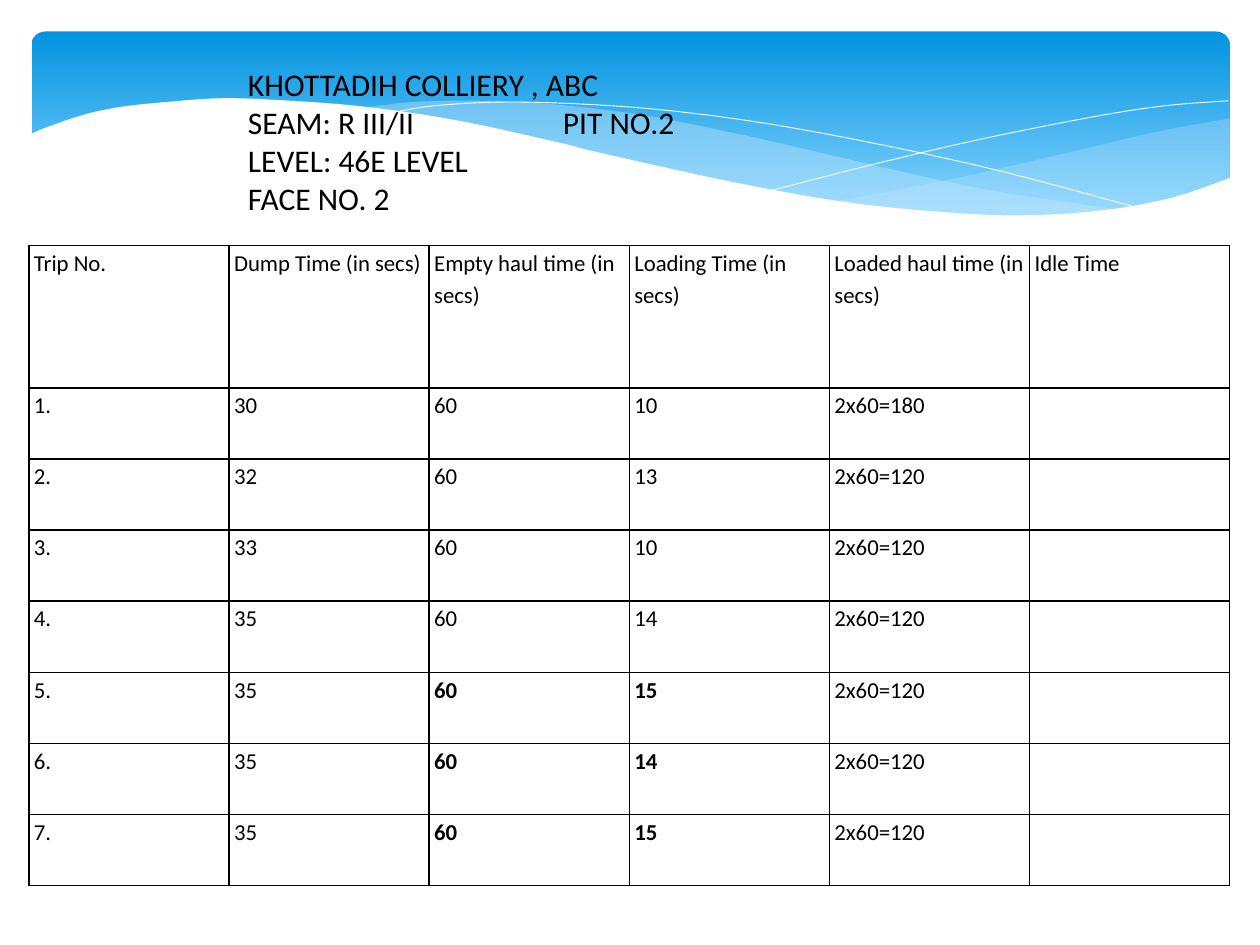
from lxml import etree
from pptx import Presentation
from pptx.dml.color import RGBColor
from pptx.enum.shapes import MSO_SHAPE as Shape
from pptx.oxml import parse_xml
from pptx.oxml.ns import nsdecls, qn
from pptx.util import Inches, Pt

BLACK = RGBColor(0, 0, 0)
WHITE = RGBColor(255, 255, 255)
DEEP = RGBColor(0x02, 0x93, 0xE0)
SKY = RGBColor(0x83, 0xD3, 0xFE)
HAZE = RGBColor(0xC6, 0xE7, 0xFC)
FONT = "Calibri"

# Wave edges, in inches from the banner's top left corner
RIGHT_TOP = [(9.51, .69), (8.96, .79), (8.36, .93), (7.54, 1.12), (6.81, 1.27),
             (6.36, 1.35)]
RIGHT_LOW = [(6.36, 1.35), (6.94, 1.42), (7.56, 1.47), (8.1, 1.47), (8.64, 1.41),
             (9.17, 1.29), (9.51, 1.16)]
MID_TOP = [(2.61, .61), (3.03, .56), (3.55, .55), (4.17, .58), (4.89, .67),
           (5.59, .81), (6.04, .91), (6.81, 1.09), (7.5, 1.24), (8.12, 1.34),
           (8.68, 1.42)]
MID_LOW = [(8.68, 1.42), (8.13, 1.47), (7.6, 1.47), (6.97, 1.43), (6.25, 1.33),
           (5.41, 1.18), (4.24, .91), (3.37, .72), (2.61, .61)]
FALL = [(2.84, .65), (3.19, .59), (3.76, .56), (4.44, .58), (5.08, .63),
        (5.83, .73), (6.7, .89), (7.7, 1.11), (8.82, 1.41)]
RISE = [(5.88, 1.26), (6.7, 1.05), (7.51, .86), (8.41, .68), (8.99, .59), (9.5, .55)]
FRONT = [(9.52, 1.16), (9.05, 1.32), (8.5, 1.42), (7.84, 1.46), (7.19, 1.43),
         (6.43, 1.35), (5.54, 1.19), (4.5, .96), (4.22, .89), (3.4, .71),
         (2.67, .6), (2.05, .55), (1.52, .53), (1.07, .56), (.7, .6),
         (.42, .66), (.15, .75), (-.02, .82)]
FLOOR = [(-.02, 1.99), (9.52, 1.99)]

TITLE = ["KHOTTADIH COLLIERY , ABC", "SEAM: R III/II\tPIT NO.2",
         "LEVEL: 46E LEVEL", "FACE NO. 2"]
HEADS = ["Trip No.", "Dump Time (in secs)", "Empty haul time (in secs)",
         "Loading Time (in secs)", "Loaded haul time (in secs)", "Idle Time"]
TRIPS = [(30, 10, "2x60=180"), (32, 13, "2x60=120"), (33, 10, "2x60=120"),
         (35, 14, "2x60=120"), (35, 15, "2x60=120"), (35, 14, "2x60=120"),
         (35, 15, "2x60=120")]
BOLD_FROM = 5


def smooth(knots, steps=5):
    """Return points on a Catmull-Rom curve through the knots."""
    ends = [knots[0], *knots, knots[-1]]
    curve = [knots[0]]
    for a, b, c, d in zip(ends, ends[1:], ends[2:], ends[3:]):
        for step in range(1, steps + 1):
            t = step / steps
            curve.append(tuple(
                q + t / 2 * (r - p + t * (2 * p - 5 * q + 4 * r - s
                                          + t * (3 * (q - r) + s - p)))
                for p, q, r, s in zip(a, b, c, d)))
    return curve


def add_wave(slide, left, top, points, fill=None, alpha=100):
    """Draw a filled wave, or a thin white line when there is no fill."""
    spots = [(Inches(left + x), Inches(top + y)) for x, y in points]
    pen = slide.shapes.build_freeform(*spots[0])
    pen.add_line_segments(spots[1:], close=fill is not None)
    wave = pen.convert_to_shape()
    wave.shadow.inherit = False
    if fill is None:
        wave.fill.background()
        wave.line.color.rgb = WHITE
        wave.line.width = Pt(0.5)
        return
    wave.fill.solid()
    wave.fill.fore_color.rgb = fill
    wave.line.fill.background()
    if alpha < 100:
        color = wave.fill._xPr.find(qn("a:solidFill"))[0]
        etree.SubElement(color, qn("a:alpha"), val=str(alpha * 1000))


def add_banner(slide, left, top, width, height):
    bar = slide.shapes.add_shape(Shape.ROUNDED_RECTANGLE, Inches(left), Inches(top),
                                 Inches(width), Inches(height))
    bar.adjustments[0] = 0.07
    bar.shadow.inherit = False
    bar.line.fill.background()
    bar.fill.gradient()
    bar.fill.gradient_angle = 270
    for stop, place, color in zip(bar.fill.gradient_stops, (0, 0.9), (DEEP, SKY)):
        stop.position = place
        stop.color.rgb = color
    add_wave(slide, left, top, smooth(RIGHT_TOP) + smooth(RIGHT_LOW), HAZE, 29)
    add_wave(slide, left, top, smooth(MID_TOP) + smooth(MID_LOW), HAZE, 40)
    add_wave(slide, left, top, smooth(FALL))
    add_wave(slide, left, top, smooth(RISE))
    add_wave(slide, left, top, smooth(FRONT) + FLOOR, WHITE)


def add_text(para, text, size, bold=False):
    run = para.add_run()
    run.text = text
    font = run.font
    font.name, font.size, font.bold = FONT, Pt(size), bold
    font.color.rgb = BLACK


def add_title(slide, left, top, width, height):
    frame = slide.shapes.add_textbox(Inches(left), Inches(top), Inches(width),
                                     Inches(height)).text_frame
    frame.word_wrap = True
    for i, line in enumerate(TITLE):
        para = frame.add_paragraph() if i else frame.paragraphs[0]
        if "\t" in line:
            tabs = etree.SubElement(para._p.get_or_add_pPr(), qn("a:tabLst"))
            etree.SubElement(tabs, qn("a:tab"), pos=str(Inches(2.5)), algn="l")
        add_text(para, line, 18)


def style_cell(cell):
    cell.margin_left = cell.margin_right = Inches(0.04)
    cell.margin_top = cell.margin_bottom = 0
    props = cell._tc.get_or_add_tcPr()
    for side in ("lnL", "lnR", "lnT", "lnB"):
        props.append(parse_xml(
            f'<a:{side} {nsdecls("a")} w="{Pt(1)}"><a:solidFill>'
            f'<a:srgbClr val="{BLACK}"/></a:solidFill></a:{side}>'))
    cell.fill.background()


def add_log(slide, left, top, width, height):
    """Add the trip table, its heading row twice as high as the others."""
    rows = [HEADS] + [(f"{n}.", dump, 60, load, haul, "")
                      for n, (dump, load, haul) in enumerate(TRIPS, 1)]
    table = slide.shapes.add_table(len(rows), len(HEADS), Inches(left), Inches(top),
                                   Inches(width), Inches(height)).table
    table.first_row = table.horz_banding = False
    for col in table.columns:
        col.width = Inches(width / len(HEADS))
    unit = height / (len(rows) + 1)
    for i, row in enumerate(rows):
        table.rows[i].height = Inches(unit if i else 2 * unit)
        for j, value in enumerate(row):
            cell = table.cell(i, j)
            style_cell(cell)
            if value != "":
                para = cell.text_frame.paragraphs[0]
                para.line_spacing = 1.15
                add_text(para, str(value), 13, i >= BOLD_FROM and j in (2, 3))


def main():
    deck = Presentation()
    deck.slide_width, deck.slide_height = Inches(10), Inches(7.5)
    slide = deck.slides.add_slide(deck.slide_layouts[6])
    add_banner(slide, 0.25, 0.25, 9.51, 1.56)
    add_title(slide, 1.87, 0.47, 6.17, 1.62)
    add_log(slide, 0.23, 1.95, 9.53, 5.08)
    deck.save("out.pptx")


if __name__ == "__main__":
    main()
